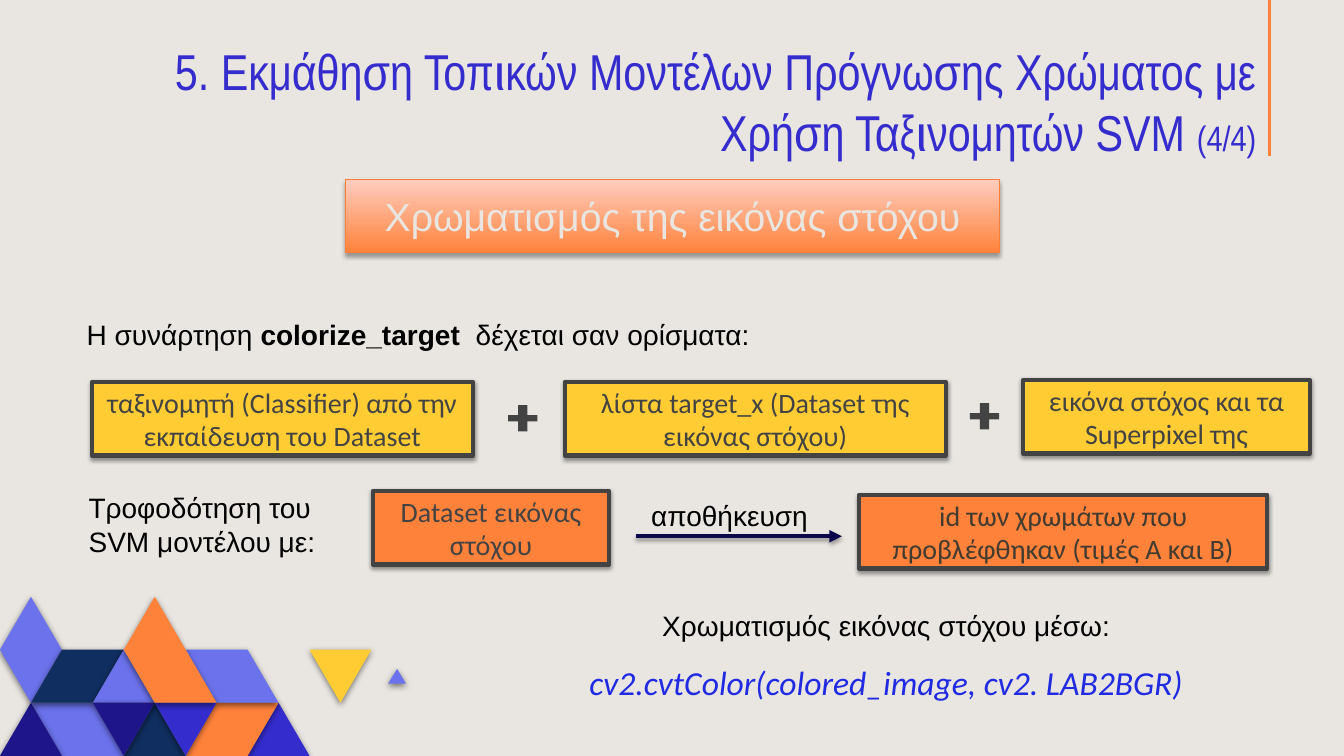
from dataclasses import dataclass

from lxml import etree
from pptx import Presentation
from pptx.dml.color import RGBColor
from pptx.enum import shapes as sh, text as tx
from pptx.oxml import ns
from pptx.util import Inches, Pt


@dataclass(frozen=True)
class Theme:
    """Colours, fonts and type sizes of the slide."""
    paper: str = "E9E6E1"
    ink: str = "000000"
    grey: str = "434343"
    brown: str = "423B30"
    blue: str = "352CCD"
    code: str = "202AE1"
    lilac: str = "6B72EB"
    navy: str = "102E5F"
    deep: str = "1F158A"
    night: str = "0C064A"
    gold: str = "FFCC33"
    orange: str = "FF823B"
    edge: str = "FE7E35"
    peach: str = "FFCDBF"
    sans: str = "Arial"
    slim: str = "Arial Narrow"
    soft: str = "Calibri"
    head: float = 36
    count: float = 25.2
    sub: float = 28
    call: float = 24
    body: float = 20


T = Theme()
TILES = [
    (T.blue, [(9, 2), (8, 3), (10, 3)]),
    (T.orange, [(9, 2), (7, 2), (6, 3), (8, 3)]),
    (T.lilac, [(3, 2), (1, 2), (2, 3), (4, 3)]),
    (T.deep, [(1, 2), (0, 3), (2, 3)]),
    (T.navy, [(5, 2), (4, 3), (6, 3)]),
    (T.lilac, [(9, 2), (8, 1), (6, 1), (7, 2)]),
    (T.lilac, [(12.83, 1.36), (12.54, 1.64), (13.12, 1.64)]),
    (T.gold, [(12, 1), (10, 1), (11, 2)]),
    (T.lilac, [(2, 1), (1, 0), (0, 1), (1, 2)]),
    (T.navy, [(4, 1), (2, 1), (1, 2), (3, 2)]),
    (T.lilac, [(5, 2), (4, 1), (3, 2)]),
    (T.deep, [(5, 2), (3, 2), (4, 3)]),
    (T.blue, [(7, 2), (5, 2), (6, 3)]),
    (T.orange, [(7, 2), (5, 0), (4, 1), (5, 2)]),
]


def rgb(code):
    """Turn a hex code into a colour."""
    return RGBColor.from_string(code)


def lengths(*nums):
    """Turn numbers into inches."""
    return [Inches(n) for n in nums]


def shade(shape, alpha=0, blur=3.1, dist=1.6):
    """Set a downward shadow, or none when alpha is zero."""
    props = shape._element.spPr
    fx = etree.SubElement(props, ns.qn("a:effectLst"))
    if alpha:
        drop = etree.SubElement(fx, ns.qn("a:outerShdw"), blurRad=str(Pt(blur)),
                                dist=str(Pt(dist)), dir="5400000", rotWithShape="0")
        tint = etree.SubElement(drop, ns.qn("a:srgbClr"), val=T.ink)
        etree.SubElement(tint, ns.qn("a:alpha"), val=str(alpha * 1000))


def style(font, size, name, color):
    """Set size, face and colour of a font."""
    font.size, font.name = Pt(size), name
    font.color.rgb = rgb(color)


def label(slide, box, words, size=T.body, name=T.sans, color=T.ink,
          align=tx.PP_ALIGN.LEFT):
    """Add a wrapped text box with one paragraph and return its frame."""
    frame = slide.shapes.add_textbox(*lengths(*box)).text_frame
    frame.word_wrap = True
    para = frame.paragraphs[0]
    para.text, para.alignment = words, align
    style(para.font, size, name, color)
    return frame


def panel(slide, box, words, fill, color=T.grey):
    """Add a framed box with centred text."""
    shape = slide.shapes.add_shape(sh.MSO_SHAPE.RECTANGLE, *lengths(*box))
    shape.fill.solid()
    shape.fill.fore_color.rgb = rgb(fill)
    shape.line.color.rgb, shape.line.width = rgb(T.grey), Pt(3)
    shade(shape, 38)
    center(shape, words, T.body, T.soft, color)


def center(shape, words, size, name, color):
    """Write centred text in a shape."""
    frame = shape.text_frame
    frame.word_wrap, frame.vertical_anchor = True, tx.MSO_ANCHOR.MIDDLE
    para = frame.paragraphs[0]
    para.text, para.alignment = words, tx.PP_ALIGN.CENTER
    style(para.font, size, name, color)


def line(slide, ends, color, width):
    """Add a straight line without a shadow setting."""
    rule = slide.shapes.add_connector(sh.MSO_CONNECTOR.STRAIGHT, *lengths(*ends))
    rule.line.color.rgb, rule.line.width = rgb(color), Pt(width)
    return rule


def mosaic(slide, left, top, half=0.307, row=0.526):
    """Draw the tiles on a triangular grid."""
    for color, cells in TILES:
        spots = [tuple(lengths(left + c * half, top + r * row)) for c, r in cells]
        pen = slide.shapes.build_freeform(*spots[0])
        pen.add_line_segments(spots[1:], close=True)
        tile = pen.convert_to_shape()
        tile.fill.solid()
        tile.fill.fore_color.rgb = rgb(color)
        tile.line.fill.background()
        shade(tile, 50, 4.5, 1.5)


def title(slide, left, top, width, height):
    """Write the heading beside its upright rule."""
    edge = left + width + 0.03
    shade(line(slide, (edge, 0, edge, 1.55), T.orange, 2.25))
    frame = label(slide, (left, top, width, height),
                  "5. Εκμάθηση Τοπικών Μοντέλων Πρόγνωσης Χρώματος με Χρήση Ταξινομητών SVM ",
                  T.head, T.slim, T.blue, tx.PP_ALIGN.RIGHT)
    frame.vertical_anchor = tx.MSO_ANCHOR.BOTTOM
    frame.margin_top = frame.margin_bottom = Inches(0.1)
    count = frame.paragraphs[0].add_run()
    count.text, count.font.size = "(4/4)", Pt(T.count)


def banner(slide, *box):
    """Add the gradient subtitle bar."""
    bar = slide.shapes.add_shape(sh.MSO_SHAPE.RECTANGLE, *lengths(*box))
    bar.fill.gradient()
    bar.fill.gradient_angle = 90
    for stop, color, spot in zip(bar.fill.gradient_stops, (T.orange, T.peach), (0, 1)):
        stop.color.rgb, stop.position = rgb(color), spot
    bar.line.color.rgb, bar.line.width = rgb(T.edge), Pt(0.75)
    shade(bar, 35, 3.1, 1.8)
    center(bar, "Χρωματισμός της εικόνας στόχου", T.sub, T.sans, T.paper)


def inputs(slide, left, top):
    """Show the function's arguments joined by plus signs."""
    frame = label(slide, (left, top, 7.71, 0.44), "Η συνάρτηση ")
    para = frame.paragraphs[0]
    for words, bold in (("colorize_target  ", True), ("δέχεται σαν ορίσματα:", False)):
        run = para.add_run()
        run.text, run.font.bold = words, bold
    for x, y, width, words in (
            (0.15, 0.69, 3.78, "ταξινομητή (Classifier) από την εκπαίδευση του Dataset"),
            (4.84, 0.69, 3.78, "λίστα target_x (Dataset της εικόνας στόχου)"),
            (9.39, 0.67, 2.84, "εικόνα στόχος και τα Superpixel της")):
        panel(slide, (left + x, top + y, width, 0.73), words, T.gold)
    for x, y in ((4.28, 0.92), (8.86, 0.9)):
        plus = slide.shapes.add_shape(sh.MSO_SHAPE.CROSS,
                                      *lengths(left + x, top + y, 0.29, 0.26))
        plus.adjustments[0] = 0.38
        plus.fill.solid()
        plus.fill.fore_color.rgb = rgb(T.grey)
        plus.line.fill.background()
        shade(plus)


def feed(slide, left, top):
    """Show the step from the dataset to the stored ids."""
    label(slide, (left, top, 2.92, 0.77), "Τροφοδότηση του SVM μοντέλου με:")
    panel(slide, (left + 2.92, top + 0.05, 2.34, 0.73), "Dataset εικόνας στόχου", T.orange)
    panel(slide, (left + 7.74, top + 0.09, 4.05, 0.73),
          "id των χρωμάτων που προβλέφθηκαν (τιμές Α και Β)", T.orange, T.brown)
    arrow = line(slide, (left + 5.53, top + 0.5, left + 7.57, top + 0.5), T.night, 3)
    etree.SubElement(arrow.line._get_or_add_ln(), ns.qn("a:tailEnd"), type="triangle")
    shade(arrow, 35, 3.1, 1.8)
    label(slide, (left + 5.58, top + 0.08, 1.8, 0.44), "αποθήκευση")


def result(slide, *box):
    """Write the final call under its lead-in."""
    frame = label(slide, box, "Χρωματισμός εικόνας στόχου μέσω:", align=tx.PP_ALIGN.CENTER)
    call = frame.add_paragraph()
    call.text, call.alignment = "cv2.cvtColor(colored_image, cv2. LAB2BGR)", tx.PP_ALIGN.CENTER
    style(call.font, T.call, T.soft, T.code)
    call.font.italic = True
    for para in frame.paragraphs:
        para.line_spacing = 1.5


def main():
    """Build and save the slide."""
    deck = Presentation()
    deck.slide_width, deck.slide_height = lengths(13.33, 7.5)
    slide = deck.slides.add_slide(deck.slide_layouts[6])
    slide.background.fill.solid()
    slide.background.fill.fore_color.rgb = rgb(T.paper)
    mosaic(slide, 0, 5.92)
    title(slide, 0.76, 0.3, 11.8, 1.4)
    banner(slide, 3.43, 1.78, 6.48, 0.73)
    inputs(slide, 0.76, 3.1)
    feed(slide, 0.78, 4.82)
    result(slide, 5.04, 5.82, 7.5, 1.55)
    deck.save("out.pptx")


if __name__ == "__main__":
    main()
